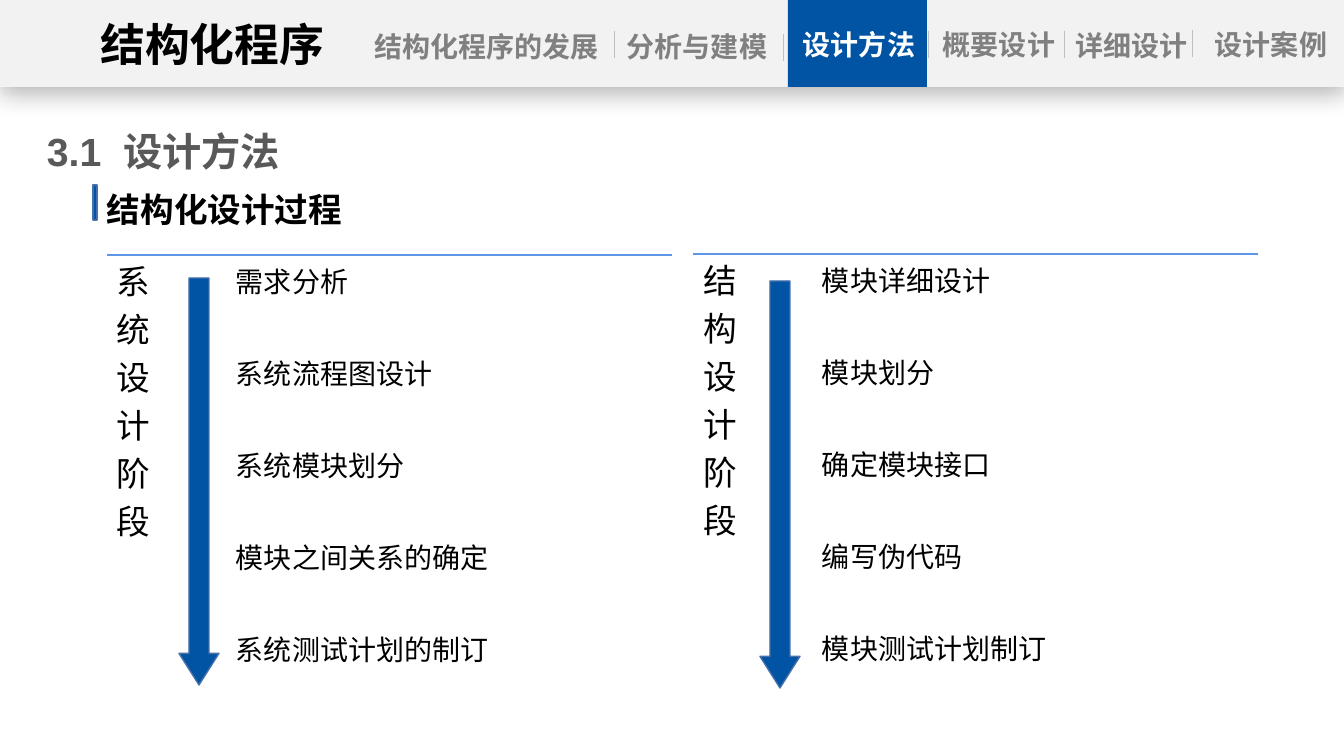
from lxml.etree import SubElement
from pptx import Presentation
from pptx.dml.color import RGBColor
from pptx.enum.shapes import MSO_CONNECTOR, MSO_SHAPE
from pptx.enum.text import MSO_ANCHOR, PP_ALIGN
from pptx.oxml import parse_xml
from pptx.oxml.ns import nsdecls, qn
from pptx.util import Pt

# Content
DECK_TITLE = "结构化程序"
SECTION = ("3.1", " ", "设计方法")
TOPIC = "结构化设计过程"
TABS = [  # label, left, top, width
    ("结构化程序的发展", 367, 24, 239),
    ("分析与建模", 623, 24, 148),
    ("设计方法", 785, 22, 148),
    ("概要设计", 925, 22, 148),
    ("详细设计", 1055, 23, 153),
    ("设计案例", 1197, 22, 148),
]
ACTIVE_TAB = "设计方法"
DIVIDERS = [(614, 31), (783, 34), (928, 31), (1064, 31), (1192, 30)]
PHASES = [
    {"name": "系统设计阶段", "left": 107, "top": 255, "arrow": (179, 278),
     "steps": ["需求分析", "系统流程图设计", "系统模块划分",
               "模块之间关系的确定", "系统测试计划的制订"]},
    {"name": "结构设计阶段", "left": 693, "top": 254, "arrow": (760, 281),
     "steps": ["模块详细设计", "模块划分", "确定模块接口",
               "编写伪代码", "模块测试计划制订"]},
]

THEME = {
    "font": "Arial",
    "colors": {"blue": "0054A3", "edge": "476FAA", "rule": "6096E6", "bar": "F2F2F2",
               "divider": "BFBFBF", "muted": "808080", "section": "595959",
               "text": "000000", "white": "FFFFFF"},
    "sizes": {"deck": 32, "section": 28, "topic": 24, "phase": 24, "step": 20, "tab": 20},
}

# Layout in px
PX = 914400 / 100.8
SLIDE_W, SLIDE_H, BAR_H = 1344, 756, 87
RULE_W, STEP_DX, STEP_DY, STEP_PITCH = 565, 121, 5, 92
LABEL_INSETS, TOPIC_INSETS = (0, 5), (10, 5)


def px(value):
    return round(value * PX)


def color(name):
    return RGBColor.from_string(THEME["colors"][name])


def add_block(slide, kind, box, fill, edge=None):
    shape = slide.shapes.add_shape(kind, *map(px, box))
    shape.shadow.inherit = False
    shape.fill.solid()
    shape.fill.fore_color.rgb = color(fill)
    if edge:
        shape.line.color.rgb = color(edge)
        shape.line.width = Pt(1)
    else:
        shape.line.fill.background()
    return shape


def add_line(slide, start, end, line_color, width):
    line = slide.shapes.add_connector(MSO_CONNECTOR.STRAIGHT, *map(px, start + end))
    line.line.color.rgb = color(line_color)
    line.line.width = Pt(width)
    SubElement(line._element.spPr, qn("a:effectLst"))


def add_text(slide, paragraphs, box, size, text_color="text", bold=False,
             insets=LABEL_INSETS, align=PP_ALIGN.LEFT, loose=False):
    """Each paragraph is a sequence of runs; loose sets 90% lines with 35% after."""
    frame = slide.shapes.add_textbox(*map(px, box)).text_frame
    side, end = map(px, insets)
    frame_format = {"word_wrap": True, "vertical_anchor": MSO_ANCHOR.TOP,
                    "margin_left": side, "margin_right": side,
                    "margin_top": end, "margin_bottom": end}
    for name, value in frame_format.items():
        setattr(frame, name, value)
    font_format = {"name": THEME["font"], "size": Pt(THEME["sizes"][size]), "bold": bold}
    for index, runs in enumerate(paragraphs):
        paragraph = frame.paragraphs[0] if index == 0 else frame.add_paragraph()
        paragraph.alignment = align
        if loose:
            paragraph.line_spacing = 0.9
            after = SubElement(paragraph._p.get_or_add_pPr(), qn("a:spcAft"))
            SubElement(after, qn("a:spcPct"), val="35000")
        for text in runs:
            run = paragraph.add_run()
            run.text = text
            for name, value in font_format.items():
                setattr(run.font, name, value)
            run.font.color.rgb = color(text_color)
            properties = run._r.get_or_add_rPr()
            SubElement(properties, qn("a:ea"), typeface=THEME["font"])
            if text == " ":
                properties.set("spc", "780")


def add_heading(slide):
    add_text(slide, [SECTION], (47, 122, 285, 58), "section", "section", bold=True)
    add_block(slide, MSO_SHAPE.RECTANGLE, (93, 185, 4, 35), "blue", "edge")
    add_text(slide, [[TOPIC]], (97, 184, 558, 50), "topic", bold=True, insets=TOPIC_INSETS)


def add_phase(slide, phase):
    left, top = phase["left"], phase["top"]
    add_line(slide, (left, top), (left + RULE_W, top), "rule", 1)
    add_text(slide, phase["name"], (left, top, 113, 465), "phase",
             insets=(10, 10), loose=True)
    for index, step in enumerate(phase["steps"]):
        step_top = top + STEP_DY + index * STEP_PITCH
        add_text(slide, [[step]], (left + STEP_DX, step_top, 444, 88), "step",
                 insets=(8, 8), loose=True)
    arrow = add_block(slide, MSO_SHAPE.DOWN_ARROW, phase["arrow"] + (40, 407), "blue", "edge")
    arrow.adjustments[0], arrow.adjustments[1] = 0.5, 0.79


def add_header(slide):
    bar = add_block(slide, MSO_SHAPE.RECTANGLE, (0, 0, SLIDE_W, BAR_H), "bar")
    properties = bar._element.spPr
    properties.remove(properties.find(qn("a:effectLst")))
    properties.append(parse_xml(
        f'<a:effectLst {nsdecls("a")}><a:outerShdw blurRad="{Pt(18)}" dist="{Pt(4)}" '
        'dir="5400000" algn="t" rotWithShape="0"><a:srgbClr val="000000">'
        '<a:alpha val="29000"/></a:srgbClr></a:outerShdw></a:effectLst>'))
    add_block(slide, MSO_SHAPE.RECTANGLE, (788, 0, 139, BAR_H), "blue")
    for left, top in DIVIDERS:
        add_line(slide, (left, top), (left, top + 27), "divider", 0.5)
    add_text(slide, [[DECK_TITLE]], (92, 12, 241, 65), "deck", bold=True,
             align=PP_ALIGN.CENTER)
    for label, left, top, width in TABS:
        add_text(slide, [[label]], (left, top, width, 44), "tab",
                 "white" if label == ACTIVE_TAB else "muted",
                 bold=True, align=PP_ALIGN.CENTER)


def main():
    presentation = Presentation()
    presentation.slide_width, presentation.slide_height = px(SLIDE_W), px(SLIDE_H)
    slide = presentation.slides.add_slide(presentation.slide_layouts[6])
    add_heading(slide)
    for phase in PHASES:
        add_phase(slide, phase)
    add_header(slide)
    presentation.save("out.pptx")


if __name__ == "__main__":
    main()
